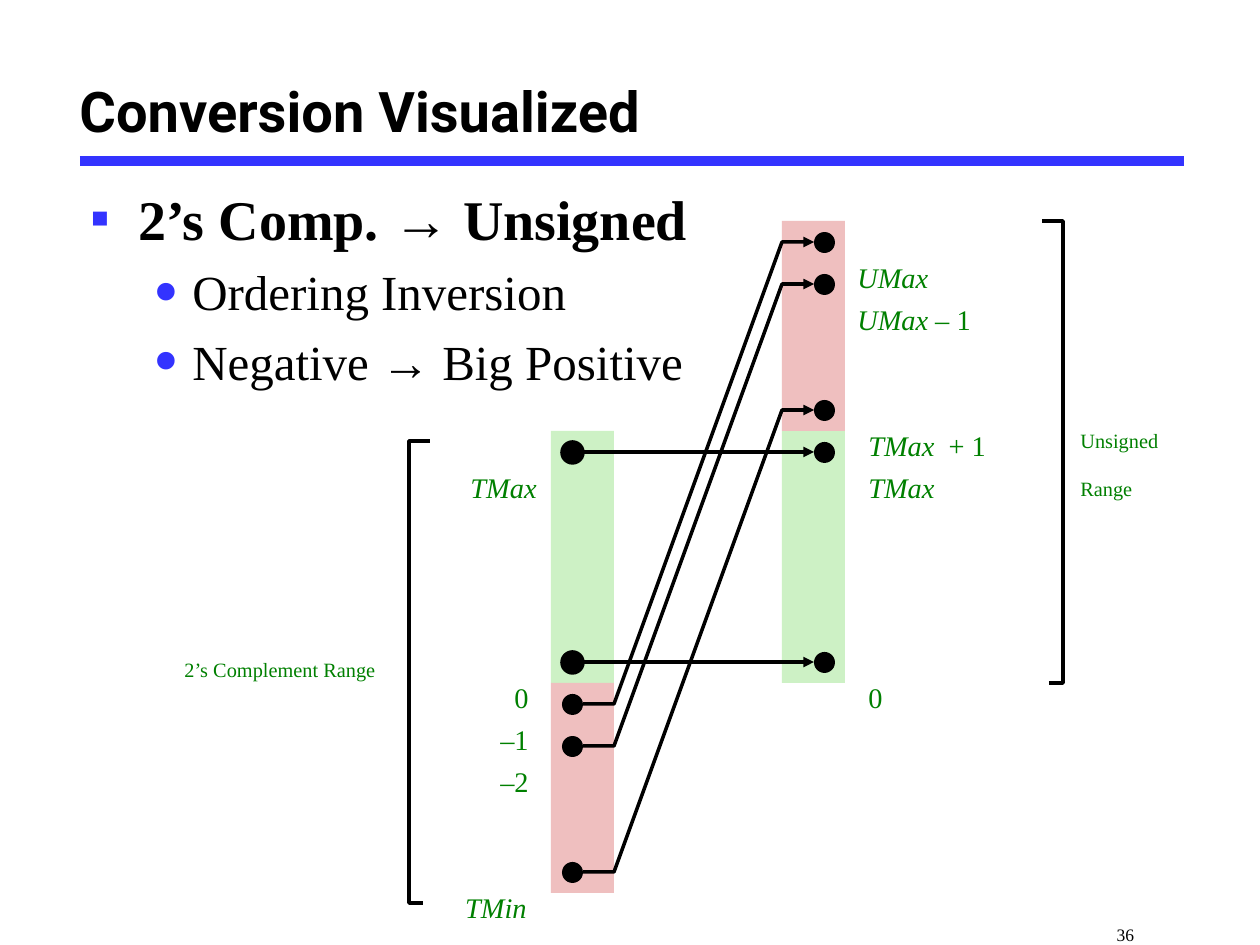
import dataclasses

import lxml.etree
import pptx
import pptx.dml.color
import pptx.enum.shapes
import pptx.enum.text
import pptx.oxml.ns
import pptx.util

SCALE = 914400 / 126
COLORS = {
    "rule": "3333FF", "ink": "000000", "label": "008000",
    "positive": "CDF1C5", "negative": "EFBFBF",
}
SERIF = "Times New Roman"
LEFT_BAR, RIGHT_BAR, BAR_WIDTH = 551, 782, 63
FIRST_ROW, ROW_STEP, DOT = 242, 42, 21
LEFT_DOT, RIGHT_DOT = 562, 814


@dataclasses.dataclass
class Span:
    text: str
    size: int
    color: str = "label"
    font: str = SERIF
    bold: bool = False
    italic: bool = False
    lowered: bool = False


@dataclasses.dataclass
class Label:
    row: int
    left: int
    width: int
    name: str = ""
    number: str = ""
    right: bool = False


@dataclasses.dataclass
class Bullet:
    text: str
    size: int
    mark: str
    percent: int
    margin: int
    hanging: int
    level: int = 0


@dataclasses.dataclass
class Mapping:
    start: int
    end: int
    outlined: bool


LABELS = [
    Label(5, 447, 102, "TMax", right=True),
    Label(10, 436, 105, number="0", right=True),
    Label(11, 436, 105, number="–1", right=True),
    Label(12, 436, 105, number="–2", right=True),
    Label(15, 442, 97, "TMin", right=True),
    Label(0, 845, 158, "UMax"),
    Label(1, 845, 199, "UMax", " – 1"),
    Label(4, 856, 163, "TMax  ", "+ 1"),
    Label(5, 856, 102, "TMax"),
    Label(10, 856, 105, number="0"),
]
MAPPINGS = [
    Mapping(5, 5, True), Mapping(10, 10, True),
    Mapping(11, 0, False), Mapping(12, 1, False), Mapping(15, 4, False),
]
BULLETS = [
    Bullet("2’s Comp. → Unsigned", 32, "▪", 100, 48, 48),
    Bullet("Ordering Inversion", 28, "•", 150, 102, 39, 1),
    Bullet("Negative → Big Positive", 28, "•", 150, 102, 39, 1),
]


def px(length: int) -> pptx.util.Emu:
    return pptx.util.Emu(round(length * SCALE))


def row_y(row: int) -> int:
    return FIRST_ROW + ROW_STEP * row


def rgb(name: str) -> pptx.dml.color.RGBColor:
    return pptx.dml.color.RGBColor.from_string(COLORS[name])


def add_child(parent, tag: str, **attributes: str):
    return lxml.etree.SubElement(parent, pptx.oxml.ns.qn(tag), **attributes)


def add_filled(page, kind, left: int, top: int, width: int, height: int, color: str):
    shape = page.shapes.add_shape(kind, px(left), px(top), px(width), px(height))
    shape.shadow.inherit = False
    shape.fill.solid()
    shape.fill.fore_color.rgb = rgb(color)
    shape.line.fill.background()
    return shape


def style_line(shape, color: str = "ink", width: int = 2, arrow: bool = False) -> None:
    shape.line.color.rgb = rgb(color)
    shape.line.width = pptx.util.Pt(width)
    if arrow:
        add_child(shape.line._get_or_add_ln(), "a:tailEnd", type="triangle")


def add_line(page, start: int, end: int, y: int, **style) -> None:
    line = page.shapes.add_connector(
        pptx.enum.shapes.MSO_CONNECTOR.STRAIGHT, px(start), px(y), px(end), px(y))
    style_line(line, **style)
    add_child(line._element.spPr, "a:effectLst")


def add_path(page, points: list[tuple[int, int]], arrow: bool = False) -> None:
    builder = page.shapes.build_freeform(*points[0], scale=SCALE)
    builder.add_line_segments(points[1:], close=False)
    shape = builder.convert_to_shape()
    shape.shadow.inherit = False
    shape.fill.background()
    style_line(shape, arrow=arrow)


def add_span(para, span: Span) -> None:
    run = para.add_run()
    run.text = span.text
    run.font.size = pptx.util.Pt(span.size)
    run.font.name = span.font
    run.font.bold = span.bold
    run.font.italic = span.italic
    run.font.color.rgb = rgb(span.color)
    if span.lowered:
        run.font._element.set("baseline", "-25000")


def add_text(page, left: int, top: int, width: int, height: int,
             paras: list[list[Span]], right: bool = False):
    box = page.shapes.add_textbox(px(left), px(top), px(width), px(height))
    frame = box.text_frame
    frame.word_wrap = True
    for index, spans in enumerate(paras):
        para = frame.add_paragraph() if index else frame.paragraphs[0]
        if right:
            para.alignment = pptx.enum.text.PP_ALIGN.RIGHT
        for span in spans:
            add_span(para, span)
    return frame


def add_label(page, label: Label) -> None:
    spans = [Span(text, 28, italic=italic, lowered=True)
             for text, italic in ((label.name, True), (label.number, False)) if text]
    add_text(page, label.left, row_y(label.row) - 21, label.width, 53, [spans], label.right)


def add_bullets(page) -> None:
    paras = [[Span(item.text, item.size, "ink", bold=item.level == 0)] for item in BULLETS]
    frame = add_text(page, 78, 178, 673, 237, paras)
    for para, item in zip(frame.paragraphs, BULLETS):
        para.level = item.level
        para.space_before = pptx.util.Pt(round(item.size * 0.2))
        properties = para._p.get_or_add_pPr()
        properties.set("marL", str(px(item.margin)))
        properties.set("indent", str(-px(item.hanging)))
        color = add_child(properties, "a:buClr")
        add_child(color, "a:srgbClr", val=COLORS["rule"])
        add_child(properties, "a:buSzPct", val=str(item.percent * 1000))
        add_child(properties, "a:buFont", typeface=SERIF)
        add_child(properties, "a:buChar", char=item.mark)


def add_mapping(page, mapping: Mapping) -> None:
    start, end = row_y(mapping.start), row_y(mapping.end)
    for left, y in ((LEFT_DOT, start), (RIGHT_DOT, end)):
        dot = add_filled(page, pptx.enum.shapes.MSO_SHAPE.OVAL,
                         left, y - DOT // 2, DOT, DOT, "ink")
        if mapping.outlined and left == LEFT_DOT:
            style_line(dot)
    tail = LEFT_DOT + DOT
    if start == end:
        add_line(page, tail, RIGHT_DOT, start, arrow=True)
    else:
        add_path(page, [(tail, start), (LEFT_BAR + BAR_WIDTH, start),
                        (RIGHT_BAR, end), (RIGHT_DOT, end)], arrow=True)


def main() -> None:
    deck = pptx.Presentation()
    deck.slide_width, deck.slide_height = px(1260), px(945)
    page = deck.slides.add_slide(deck.slide_layouts[6])

    add_line(page, 80, 1184, 161, color="rule", width=6)
    for left, top, height, color in (
            (RIGHT_BAR, 431, 252, "positive"), (LEFT_BAR, 431, 252, "positive"),
            (LEFT_BAR, 683, 210, "negative"), (RIGHT_BAR, 221, 210, "negative")):
        add_filled(page, pptx.enum.shapes.MSO_SHAPE.RECTANGLE,
                   left, top, BAR_WIDTH, height, color)
    for mapping in MAPPINGS:
        add_mapping(page, mapping)
    for label in LABELS:
        add_label(page, label)

    add_path(page, [(423, 903), (409, 903), (409, 441), (430, 441)])
    add_path(page, [(1049, 683), (1063, 683), (1063, 221), (1042, 221)])
    add_text(page, 94, 627, 294, 42,
             [[Span("2’s Complement Range", 20, lowered=True)]], right=True)
    add_text(page, 1068, 399, 116, 69,
             [[Span(word, 20, lowered=True)] for word in ("Unsigned", "Range")])

    title = add_text(page, 67, 71, 1095, 79,
                     [[Span("Conversion Visualized", 32, "ink", "Roboto", bold=True)]])
    title.vertical_anchor = pptx.enum.text.MSO_ANCHOR.MIDDLE
    add_bullets(page)
    number = add_text(page, 995, 897, 265, 48, [[Span("36", 10, "ink")]], right=True)
    number.vertical_anchor = pptx.enum.text.MSO_ANCHOR.BOTTOM
    number.margin_right, number.margin_bottom = px(126), 0

    deck.save("out.pptx")


if __name__ == "__main__":
    main()
